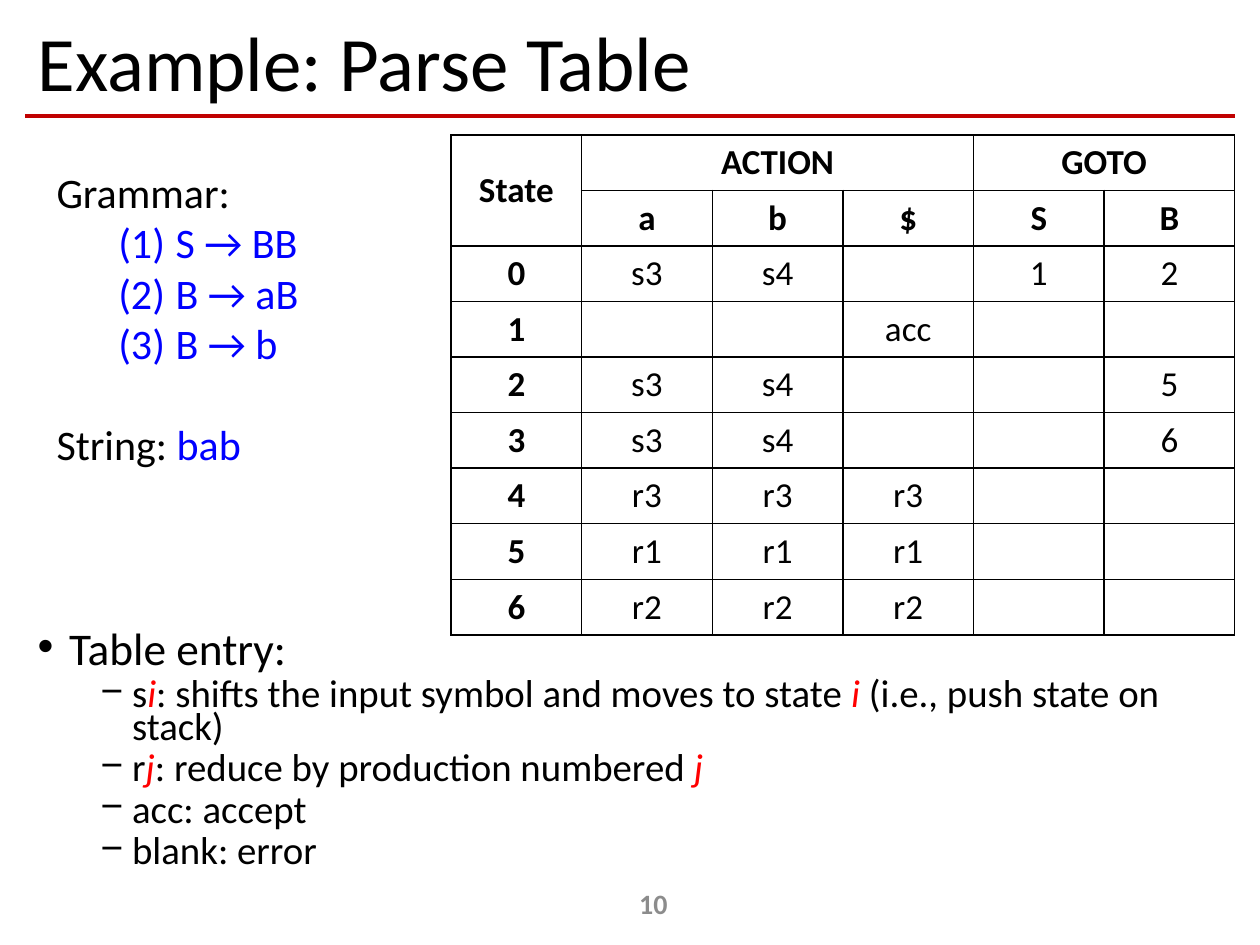
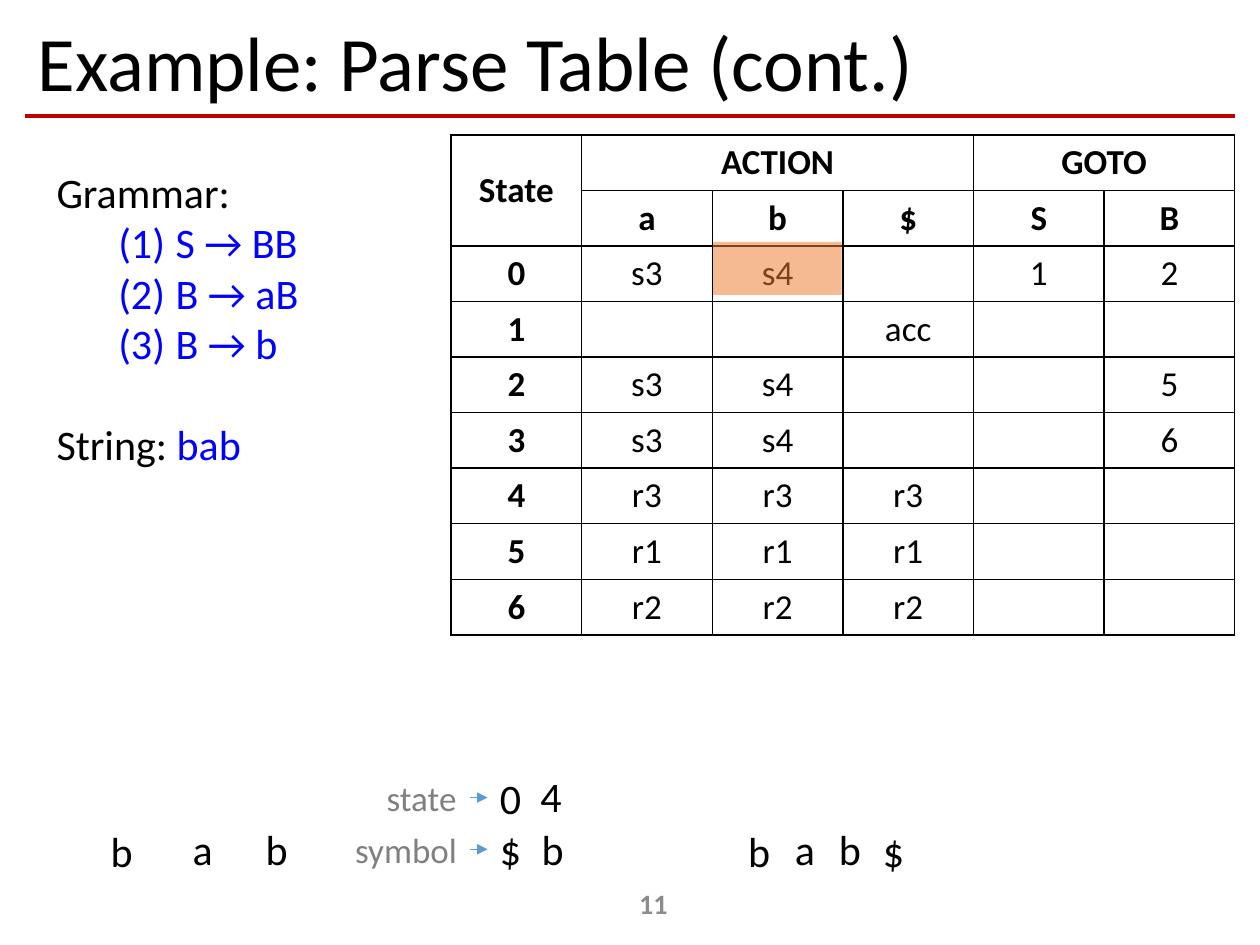
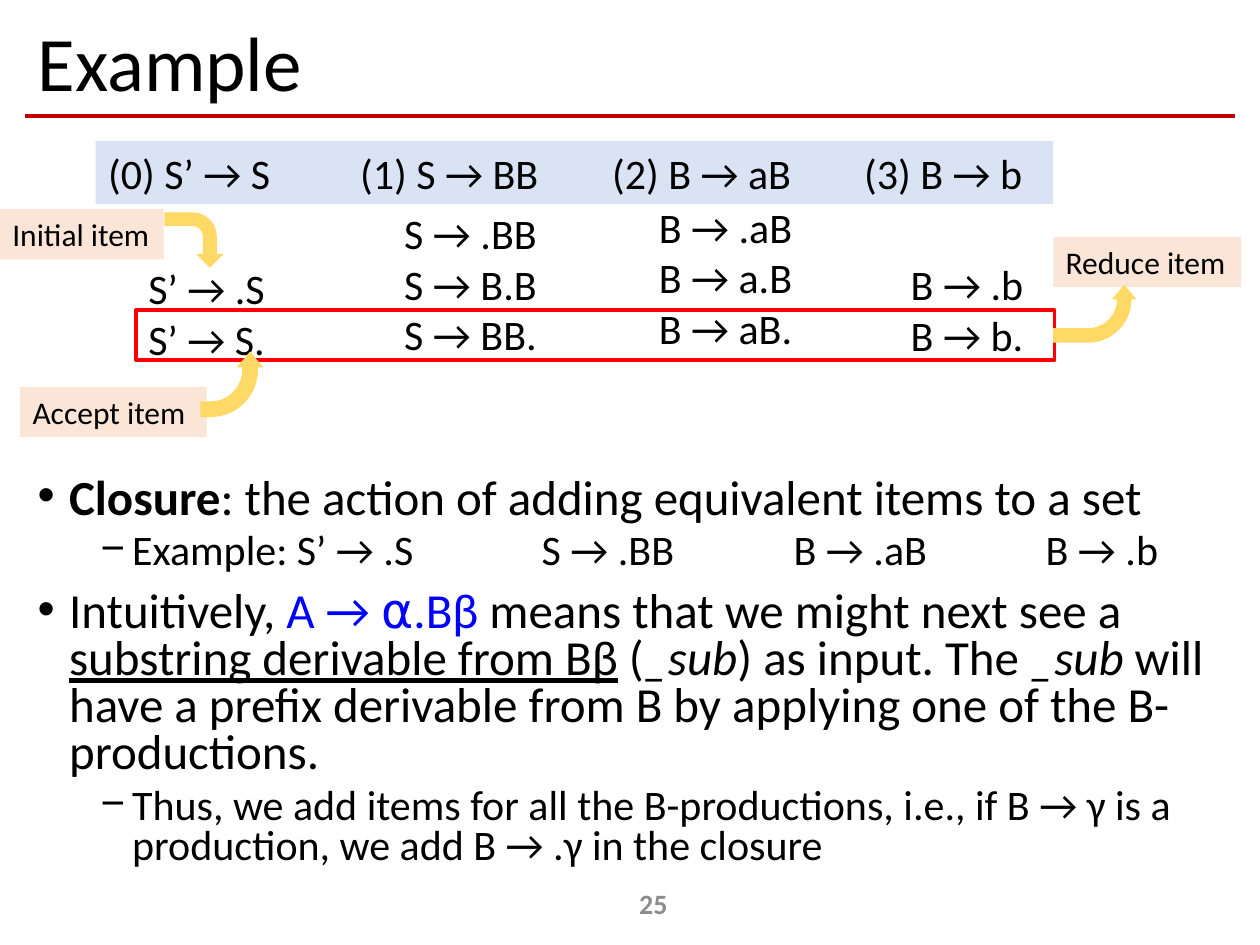
"""Build three slides on LR parse tables, items and closure."""
from lxml import etree
from pptx import Presentation, util as u
from pptx.dml.color import RGBColor
from pptx.enum import dml, shapes, text
from pptx.oxml.ns import qn

BLACK = RGBColor(0x00, 0x00, 0x00)
BLUE = RGBColor(0x00, 0x00, 0xFF)
RED = RGBColor(0xFF, 0x00, 0x00)
RULE = RGBColor(0xC0, 0x00, 0x00)
GREY = RGBColor(0x80, 0x80, 0x80)
NUMBER = RGBColor(0x8C, 0x8C, 0x8C)
ORANGE = RGBColor(0xED, 0x7D, 0x31)
ARROW = RGBColor(0x5B, 0x9B, 0xD5)
GOLD = RGBColor(0xFF, 0xD9, 0x66)
PEACH = RGBColor(0xFB, 0xE5, 0xD6)
PALE = RGBColor(0xDA, 0xE3, 0xF3)
FONT = "Calibri"

prs = Presentation()
prs.slide_width, prs.slide_height = u.Inches(10), u.Inches(7.5)
COL, ROW = prs.slide_width / 100, prs.slide_height / 75


def write(p, size, *runs):
    """Add runs, each a string or (string, colour, style letters b, i, u)."""
    for run in runs:
        words, color, style = (run, BLACK, "") if isinstance(run, str) else run
        r = p.add_run()
        r.text = words
        r.font.name, r.font.size = FONT, u.Pt(size)
        r.font.color.rgb = color
        r.font.bold, r.font.italic = "b" in style, "i" in style
        r.font.underline = "u" in style


def box(s, x, y, w, h, size, lines, fill=None, wrap=False):
    """Add a text box, or a filled rectangle, placed in columns and rows."""
    frame = [int(v) for v in (x * COL, y * ROW, w * COL, h * ROW)]
    if fill is None:
        sp = s.shapes.add_textbox(*frame)
    else:
        sp = s.shapes.add_shape(shapes.MSO_SHAPE.RECTANGLE, *frame)
        sp.shadow.inherit = False
        sp.fill.solid()
        sp.fill.fore_color.rgb = fill
        sp.line.fill.background()
    tf = sp.text_frame
    tf.word_wrap = wrap
    tf.auto_size = text.MSO_AUTO_SIZE.NONE if wrap else text.MSO_AUTO_SIZE.SHAPE_TO_FIT_TEXT
    tf.vertical_anchor = text.MSO_ANCHOR.TOP
    for i, runs in enumerate(lines):
        p = tf.paragraphs[0] if i == 0 else tf.add_paragraph()
        p.alignment = text.PP_ALIGN.LEFT
        p._p.get_or_add_pPr().set("defTabSz", str(u.Inches(1)))
        write(p, size, *runs)
    return sp


slides = []
for title, number in [("Example: Parse Table", "10"),
                      ("Example: Parse Table (cont.)", "11"), ("Example", "25")]:
    s = prs.slides.add_slide(prs.slide_layouts[6])
    slides.append(s)
    cx = s.shapes.add_connector(shapes.MSO_CONNECTOR.STRAIGHT, int(2 * COL), int(9.2 * ROW),
                                int(98 * COL), int(9.2 * ROW))
    cx.line.color.rgb, cx.line.width = RULE, u.Pt(2.5)
    etree.SubElement(cx.element.spPr, qn("a:effectLst"))
    sp = box(s, 2, 1.3, 96.1, 7.9, 44, [[title]], wrap=True)
    sp.text_frame.vertical_anchor = text.MSO_ANCHOR.MIDDLE
    sp.text_frame.paragraphs[0].line_spacing = 0.9
    sp = box(s, 40.6, 69.7, 22.5, 4, 16, [[(number, NUMBER, "b")]], wrap=True)
    sp.text_frame.vertical_anchor = text.MSO_ANCHOR.MIDDLE
    sp.text_frame.paragraphs[0].alignment = text.PP_ALIGN.CENTER

table_rows = [
    ["State", "ACTION", "", "", "GOTO", ""],
    ["", "a", "b", "$", "S", "B"],
    ["0", "s3", "s4", "", "1", "2"],
    ["1", "", "", "acc", "", ""],
    ["2", "s3", "s4", "", "", "5"],
    ["3", "s3", "s4", "", "", "6"],
    ["4", "r3", "r3", "r3", "", ""],
    ["5", "r1", "r1", "r1", "", ""],
    ["6", "r2", "r2", "r2", "", ""],
]
merges = [((0, 0), (1, 0)), ((0, 1), (0, 3)), ((0, 4), (0, 5))]
for s in slides[:2]:
    tbl = s.shapes.add_table(9, 6, int(35.8 * COL), int(10.7 * ROW),
                             int(62.2 * COL), int(39.7 * ROW)).table
    tbl.first_row = tbl.horz_banding = False
    for i, row in enumerate(table_rows):
        for j, words in enumerate(row):
            cell = tbl.cell(i, j)
            tcPr = cell._tc.get_or_add_tcPr()
            for side in ("lnL", "lnR", "lnT", "lnB"):
                ln = etree.SubElement(tcPr, qn("a:" + side), w=str(u.Pt(1)))
                ink = etree.SubElement(ln, qn("a:solidFill"))
                etree.SubElement(ink, qn("a:srgbClr"), val=str(BLACK))
            cell.fill.background()
            cell.vertical_anchor = text.MSO_ANCHOR.MIDDLE
            p = cell.text_frame.paragraphs[0]
            p.alignment = text.PP_ALIGN.CENTER
            if words:
                write(p, 20, (words, BLACK, "b" if i < 2 or j == 0 else ""))
    for first, last in merges:
        tbl.cell(*first).merge(tbl.cell(*last))

    rules = [[(f" {rule}", BLUE, "")] for rule in ("S → BB", "B → aB", "B → b")]
    sp = box(s, 3.5, 12.7, 22.1, 25.2, 24,
             [["Grammar:"], *rules, ["String: ", ("bab", BLUE, "")]])
    for p in sp.text_frame.paragraphs[1:4]:
        pPr = p._p.get_or_add_pPr()
        pPr.set("marL", str(u.Inches(0.87)))
        pPr.set("indent", str(u.Inches(-0.38)))
        etree.SubElement(pPr, qn("a:buFont"), typeface="+mj-lt")
        etree.SubElement(pPr, qn("a:buAutoNum"), type="arabicParenBoth")
    sp.text_frame.paragraphs[4].space_before = u.Pt(29)

entries = [
    (0, ["Table entry:"]),
    (1, ["s", ("i", RED, "i"), ": shifts the input symbol and moves to state ",
         ("i", RED, "i"), " (i.e., push state on stack)"]),
    (1, ["r", ("j", RED, "i"), ": reduce by production numbered ", ("j", RED, "i")]),
    (1, ["acc: accept"]),
    (1, ["blank: error"]),
]
closure = [
    (0, [("Closure", BLACK, "b"), ": the action of adding equivalent items to a set"]),
    (1, ["Example: S’ → .S\t\tS → .BB\tB → .aB\tB → .b"]),
    (0, ["Intuitively, ", ("A → ⍺.Bβ", BLUE, ""), " means that we might next see a ",
         ("substring derivable from Bβ", BLACK, "u"), " (", ("_sub", BLACK, "i"),
         ") as input. The ", ("_sub", BLACK, "i"),
         " will have a prefix derivable from B by applying one of the B-productions."]),
    (1, ["Thus, we add items for all the B-productions, i.e., if B → γ is a production, "
         "we add B → .γ in the closure"]),
]
for s, top, height, spacing, sizes, points in [
        (slides[0], 49.9, 19.8, 0.7, (25.9, 22.2), entries),
        (slides[2], 37.4, 34, 0.8, (28, 24), closure)]:
    tf = box(s, 2, top, 96.1, height, sizes[0], [[] for _ in points], wrap=True).text_frame
    for p, (level, runs) in zip(tf.paragraphs, points):
        write(p, sizes[level], *runs)
        p.level, p.line_spacing = level, spacing
        p.space_before = u.Pt((10, 5)[level])
        pPr = p._p.get_or_add_pPr()
        pPr.set("marL", str(u.Inches((0.25, 0.75)[level])))
        pPr.set("indent", str(u.Inches(-0.25)))
        etree.SubElement(pPr, qn("a:buFont"), typeface="Arial")
        etree.SubElement(pPr, qn("a:buChar"), char="•−"[level])

s = slides[1]
sp = box(s, 56.6, 19.2, 10.2, 4.2, 20, [], fill=ORANGE)
sp.text_frame.auto_size = text.MSO_AUTO_SIZE.NONE
clr = sp.fill._xPr.find(qn("a:solidFill"))[0]
etree.SubElement(clr, qn("a:alpha"), val="53000")
for x, y, token in [
        (7.8, 65, "b"), (14.3, 64.9, "a"), (20.1, 64.9, "b"),
        (38.7, 60.8, "0"), (41.9, 60.7, "4"), (38.7, 64.9, "$"), (42, 64.9, "b"),
        (58.4, 65, "b"), (62.1, 64.9, "a"), (65.6, 64.9, "b"), (69.1, 65, "$")]:
    box(s, x, y, 3.7, 5, 24, [[token]])
for label, x, y, w, tip in [("state", 29.7, 61.1, 7.6, 63.3), ("symbol", 27.2, 65.3, 10.2, 67.4)]:
    box(s, x, y, w, 4.4, 20, [[(label, GREY, "")]])
    cx = s.shapes.add_connector(shapes.MSO_CONNECTOR.STRAIGHT, int(37.3 * COL), int(tip * ROW),
                                int(38.7 * COL), int(tip * ROW))
    cx.line.color.rgb, cx.line.width = ARROW, u.Pt(0.5)
    etree.SubElement(cx.element.spPr.find(qn("a:ln")), qn("a:tailEnd"), type="triangle")
    etree.SubElement(cx.element.spPr, qn("a:effectLst"))

s = slides[2]
box(s, 7.6, 11.2, 76, 5, 24, [["(0) S’ → S\t(1) S → BB\t(2) B → aB\t(3) B → b"]], fill=PALE)
for x, y, w, items in [
        (10.8, 20.35, 11.3, ["S’ → .S", "S’ → S."]),
        (31.1, 16, 12.6, ["S → .BB", "S → B.B", "S → BB."]),
        (51.3, 15.5, 12.9, ["B → .aB", "B → a.B", "B → aB."]),
        (71.3, 20.05, 11, ["B → .b", "B → b."])]:
    box(s, x, y, w, 1 + 4.05 * len(items), 24, [[item] for item in items])
sp = s.shapes.add_shape(shapes.MSO_SHAPE.RECTANGLE, int(10.8 * COL), int(24.6 * ROW),
                        int(72.9 * COL), int(4 * ROW))
sp.shadow.inherit = False
sp.fill.background()
sp.line.color.rgb, sp.line.width = RED, u.Pt(2)
turn_down, turn_up = (0.25, 0.25, 0.25, 0.44), (0.25, 0.21, 0.25, 0.75)
for label, place, arrow, bend in [
        ("Initial item", (0, 16.6, 13, 4), (13.2, 16.7, 4.4, 4.7), turn_down),
        ("Accept item", (1.6, 30.7, 14.8, 4), (15.8, 28, 5.2, 5), turn_up),
        ("Reduce item", (83.6, 18.8, 14.9, 4), (84.6, 21.6, 4.6, 6.6), turn_up)]:
    box(s, *place, 18, [[label]], fill=PEACH)
    x, y, w, h = arrow
    sp = s.shapes.add_shape(shapes.MSO_SHAPE.BENT_ARROW, int(x * COL), int(y * ROW),
                            int(w * COL), int(h * ROW))
    sp.shadow.inherit = False
    sp.fill.solid()
    sp.fill.fore_color.rgb = GOLD
    sp.line.fill.background()
    sp.rotation = 90
    for i, share in enumerate(bend):
        sp.adjustments[i] = share
    if bend == turn_up:
        sp.element.spPr.find(qn("a:xfrm")).set("flipH", "1")

prs.save("out.pptx")
